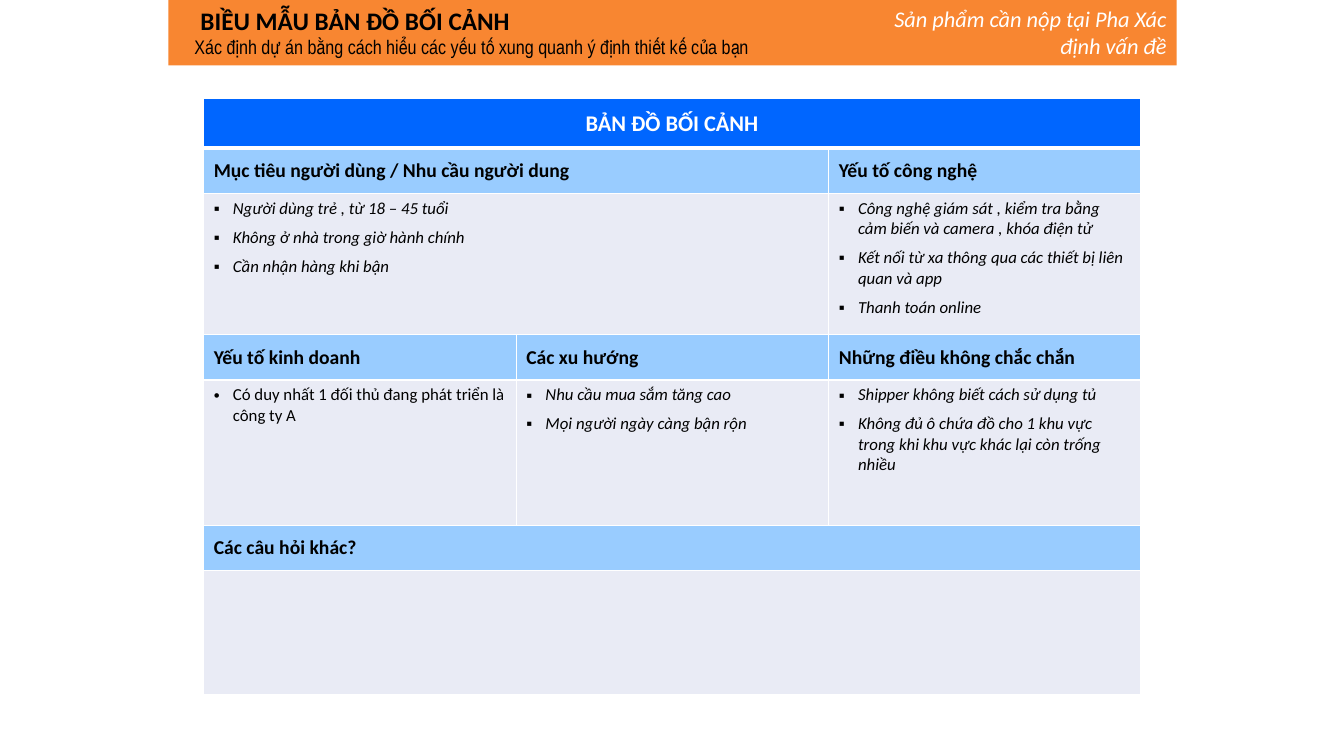
from dataclasses import dataclass
from typing import Any

from lxml.etree import SubElement
from pptx import Presentation
from pptx.dml.color import RGBColor
from pptx.enum.shapes import MSO_SHAPE
from pptx.enum.text import MSO_ANCHOR, PP_ALIGN
from pptx.oxml.ns import qn
from pptx.util import Emu, Pt

EMU_PER_PX = 9144  # 100 px to the inch


@dataclass(frozen=True)
class Theme:
    banner: str = "F88631"
    map_title: str = "0066FF"
    heading: str = "99CCFF"
    body: str = "E9EBF5"
    white: str = "FFFFFF"
    black: str = "000000"
    font: str = "Calibri"
    narrow_font: str = "Arial Narrow"
    form_title_size: int = 18
    large_size: int = 16
    heading_size: int = 14
    body_size: int = 12
    rule: int = 1
    title_rule: int = 3


THEME = Theme()


@dataclass(frozen=True)
class Topic:
    """A heading cell with its points in the cell below."""
    row: int
    column: int
    span: int
    heading: str
    points: tuple[str, ...] = ()
    bullet: str = "▪"
    italic: bool = True
    space_after: int = 6


MAP_TITLE = "BẢN ĐỒ BỐI CẢNH"
COLUMN_WIDTHS = (310, 310, 309)
ROW_HEIGHTS = (49, 45, 140, 45, 144, 45, 123)
TOPICS = (
    Topic(1, 0, 2, "Mục tiêu người dùng / Nhu cầu người dung",
          ("Người dùng trẻ , từ 18 – 45 tuổi",
           "Không ở nhà trong giờ hành chính",
           "Cần nhận hàng khi bận")),
    Topic(1, 2, 1, "Yếu tố công nghệ",
          ("Công nghệ giám sát , kiểm tra bằng cảm biến và camera , khóa điện tử",
           "Kết nối từ xa thông qua các thiết bị liên quan và app",
           "Thanh toán online")),
    Topic(3, 0, 1, "Yếu tố kinh doanh",
          ("Có duy nhất 1 đối thủ đang phát triển là công ty A",),
          bullet="•", italic=False, space_after=0),
    Topic(3, 1, 1, "Các xu hướng",
          ("Nhu cầu mua sắm tăng cao", "Mọi người ngày càng bận rộn")),
    Topic(3, 2, 1, "Những điều không chắc chắn",
          ("Shipper không biết cách sử dụng tủ",
           "Không đủ ô chứa đồ cho 1 khu vực trong khi khu vực khác lại còn trống nhiều")),
    Topic(5, 0, 3, "Các câu hỏi khác?"),
)


def px(length: int) -> Emu:
    return Emu(length * EMU_PER_PX)


def write(frame: Any, text: str, *, size: int, color: str = THEME.black,
          font: str = THEME.font, bold: bool = False, italic: bool = False,
          align: PP_ALIGN = PP_ALIGN.LEFT, space_after: int = 0,
          indent: int = 0, bullet: str = "") -> None:
    """Fill the frame's empty first paragraph, or add a new one."""
    first = frame.paragraphs[0]
    paragraph = first if not first.runs else frame.add_paragraph()
    paragraph.alignment = align
    paragraph.space_after = Pt(space_after)
    properties = paragraph._p.get_or_add_pPr()
    if indent:
        properties.set("marL", str(px(indent)))
    if bullet:
        properties.set("indent", str(-px(indent)))
        SubElement(properties, qn("a:buFont")).set("typeface", "Arial")
        SubElement(properties, qn("a:buChar")).set("char", bullet)
    run = paragraph.add_run()
    run.text = text
    run.font.name = font
    run.font.size = Pt(size)
    run.font.bold = bold
    run.font.italic = italic
    run.font.color.rgb = RGBColor.from_string(color)


def add_text_frame(slide: Any, left: int, top: int, width: int, height: int) -> Any:
    frame = slide.shapes.add_textbox(px(left), px(top), px(width), px(height)).text_frame
    frame.word_wrap = True
    return frame


def style_cell(cell: Any, fill: str, top: int, bottom: int) -> None:
    """Set white borders, then the fill that must follow them."""
    properties = cell._tc.get_or_add_tcPr()
    for side, width in (("L", THEME.rule), ("R", THEME.rule), ("T", top), ("B", bottom)):
        line = SubElement(properties, qn(f"a:ln{side}"), w=str(Pt(width)))
        solid = SubElement(line, qn("a:solidFill"))
        SubElement(solid, qn("a:srgbClr")).set("val", THEME.white)
    cell.fill.solid()
    cell.fill.fore_color.rgb = RGBColor.from_string(fill)


def add_banner(slide: Any) -> None:
    banner = slide.shapes.add_shape(MSO_SHAPE.RECTANGLE, px(167), px(0), px(1000), px(65))
    banner.shadow.inherit = False
    banner.fill.solid()
    banner.fill.fore_color.rgb = RGBColor.from_string(THEME.banner)
    banner.line.fill.background()

    form_title = add_text_frame(slide, 183, 0, 612, 64)
    write(form_title, "BIỀU MẪU BẢN ĐỒ BỐI CẢNH",
          size=THEME.form_title_size, bold=True, indent=6)
    write(form_title,
          "Xác định dự án bằng cách hiểu các yếu tố xung quanh ý định thiết kế của bạn",
          size=THEME.heading_size, font=THEME.narrow_font)


def add_phase_note(slide: Any) -> None:
    write(add_text_frame(slide, 854, 0, 313, 64), "Sản phẩm cần nộp tại Pha Xác định vấn đề",
          size=THEME.large_size, color=THEME.white, italic=True, align=PP_ALIGN.RIGHT)


def add_topic(table: Any, topic: Topic) -> None:
    heading, body = (table.cell(row, topic.column) for row in (topic.row, topic.row + 1))
    if topic.span > 1:
        for cell, row in ((heading, topic.row), (body, topic.row + 1)):
            cell.merge(table.cell(row, topic.column + topic.span - 1))
    heading.vertical_anchor = MSO_ANCHOR.MIDDLE
    write(heading.text_frame, topic.heading, size=THEME.heading_size, bold=True)
    for point in topic.points:
        write(body.text_frame, point, size=THEME.body_size, italic=topic.italic,
              space_after=topic.space_after, indent=19, bullet=topic.bullet)


def add_context_map(slide: Any) -> None:
    table = slide.shapes.add_table(
        len(ROW_HEIGHTS), len(COLUMN_WIDTHS), px(202), px(98),
        px(sum(COLUMN_WIDTHS)), px(sum(ROW_HEIGHTS))).table
    table.first_row = table.horz_banding = False
    for column, width in zip(table.columns, COLUMN_WIDTHS):
        column.width = px(width)
    for index, (row, height) in enumerate(zip(table.rows, ROW_HEIGHTS)):
        row.height = px(height)
        fill = THEME.heading if index % 2 else THEME.body
        for cell in row.cells:
            style_cell(cell, fill if index else THEME.map_title,
                       top=THEME.title_rule if index == 1 else THEME.rule,
                       bottom=THEME.title_rule if index == 0 else THEME.rule)

    title = table.cell(0, 0)
    title.merge(table.cell(0, len(COLUMN_WIDTHS) - 1))
    title.vertical_anchor = MSO_ANCHOR.MIDDLE
    write(title.text_frame, MAP_TITLE, size=THEME.large_size, color=THEME.white,
          bold=True, align=PP_ALIGN.CENTER)
    for topic in TOPICS:
        add_topic(table, topic)


def main() -> None:
    presentation = Presentation()
    presentation.slide_width, presentation.slide_height = px(1333), px(750)
    slide = presentation.slides.add_slide(presentation.slide_layouts[6])
    add_banner(slide)
    add_context_map(slide)
    add_phase_note(slide)
    presentation.save("out.pptx")


if __name__ == "__main__":
    main()
